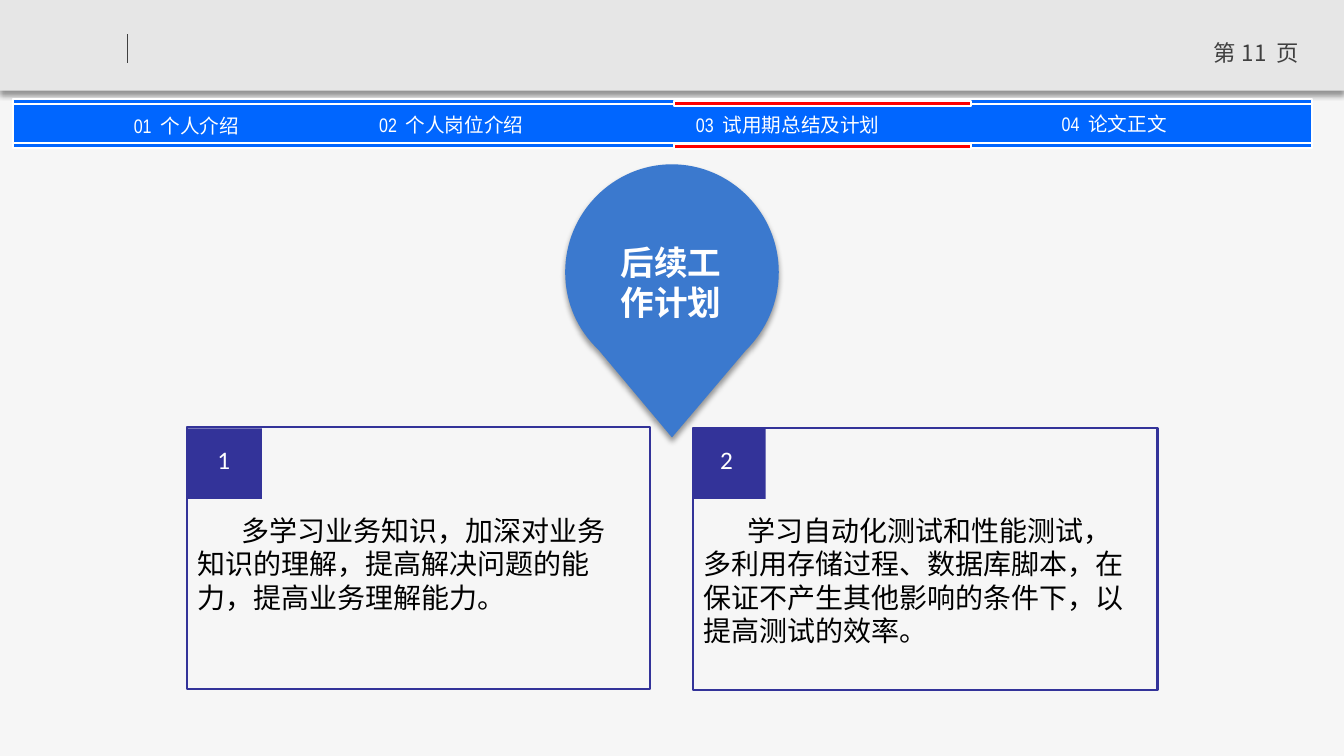
from lxml.etree import SubElement
from pptx import Presentation
from pptx.dml.color import RGBColor
from pptx.enum.shapes import MSO_CONNECTOR, MSO_SHAPE
from pptx.enum.text import MSO_ANCHOR as ANCHOR, MSO_AUTO_SIZE as AUTO, PP_ALIGN as ALIGN
from pptx.oxml.ns import qn
from pptx.util import Inches, Pt

CJK = "Noto Sans CJK SC"
WHITE, GREY, BLUE, RED, NAVY = "FFFFFF", "404040", "0066FF", "FF0000", "333399"


def rgb(value):
    return RGBColor.from_string(value)


def write(tf, paragraphs, size=16, color=WHITE, font=CJK, bold=False,
          align=ALIGN.LEFT, indent=0, gaps=()):
    for i, line in enumerate(paragraphs):
        p = tf.paragraphs[0] if i == 0 else tf.add_paragraph()
        p.alignment = align
        p.line_spacing = Pt(size * 1.2)
        p.space_before = Pt(0)
        if indent:
            p._p.get_or_add_pPr().set("indent", str(Inches(indent)))
        words = line.split(" ")
        pieces = [(words[0], 0)]
        for word, gap in zip(words[1:], gaps):
            pieces += [(" ", gap), (word, 0)]
        for piece, gap in pieces:
            r = p.add_run()
            r.text = piece
            r.font.size, r.font.bold, r.font.name = Pt(size), bold, font
            r.font.color.rgb = rgb(color)
            r_pr = r._r.get_or_add_rPr()
            SubElement(r_pr, qn("a:ea")).set("typeface", CJK)
            if gap:
                r_pr.set("spc", str(round(gap * 100)))


class Deck:
    def __init__(self):
        self.prs = Presentation()
        self.prs.slide_width, self.prs.slide_height = Inches(13.34), Inches(7.5)
        self.s = self.prs.slides.add_slide(self.prs.slide_layouts[5])
        fill = self.s.background.fill
        fill.solid()
        fill.fore_color.rgb = rgb("F6F6F6")

    def style(self, sp, fill=None, line=None, shadow=False):
        sp.shadow.inherit = False
        if fill:
            sp.fill.solid()
            sp.fill.fore_color.rgb = rgb(fill)
        else:
            sp.fill.background()
        if line:
            sp.line.color.rgb = rgb(line)
            sp.line.width = Pt(1.5)
        else:
            sp.line.fill.background()
        if shadow:
            effects = sp._element.spPr.find(qn("a:effectLst"))
            outer = SubElement(effects, qn("a:outerShdw"), blurRad=str(Pt(4)),
                               dist=str(Pt(3)), dir="5400000", algn="t", rotWithShape="0")
            black = SubElement(outer, qn("a:srgbClr"), val="000000")
            SubElement(black, qn("a:alpha"), val="40000")

    def box(self, x, y, w, h, **look):
        sp = self.s.shapes.add_shape(MSO_SHAPE.RECTANGLE, *map(Inches, (x, y, w, h)))
        self.style(sp, **look)

    def line(self, x1, y1, x2, y2, color, width):
        sp = self.s.shapes.add_connector(MSO_CONNECTOR.STRAIGHT, *map(Inches, (x1, y1, x2, y2)))
        sp.line.color.rgb = rgb(color)
        sp.line.width = Pt(width)
        SubElement(sp._element.spPr, qn("a:effectLst"))

    def frame(self, sp, insets, anchor=ANCHOR.TOP, wrap=True):
        tf = sp.text_frame
        tf.auto_size = AUTO.NONE
        tf.word_wrap = wrap
        tf.vertical_anchor = anchor
        tf.margin_left, tf.margin_top, tf.margin_right, tf.margin_bottom = map(Inches, insets)
        return tf

    def text(self, x, y, w, h, text, insets=(0.1, 0.05, 0.1, 0.05), anchor=ANCHOR.TOP, **fmt):
        sp = self.s.shapes.add_textbox(*map(Inches, (x, y, w, h)))
        write(self.frame(sp, insets, anchor), [text], **fmt)

    def title(self, x, y, w, h, lines, **fmt):
        sp = self.s.shapes.title
        sp.left, sp.top, sp.width, sp.height = map(Inches, (x, y, w, h))
        sp._element.getparent().append(sp._element)
        write(self.frame(sp, (0.1, 0.05, 0.1, 0.05), wrap=False), lines, **fmt)

    def pin(self, start, segments, **look):
        builder = self.s.shapes.build_freeform(*map(Inches, start))
        builder.add_line_segments([tuple(map(Inches, seg[-1])) for seg in segments], close=True)
        sp = builder.convert_to_shape()
        for node, seg in zip(list(sp._element.iter(qn("a:lnTo"))), segments):
            if len(seg) == 3:
                node.tag = qn("a:cubicBezTo")
                node.remove(node[0])
                for x, y in seg:
                    SubElement(node, qn("a:pt"), x=str(Inches(x) - sp.left),
                               y=str(Inches(y) - sp.top))
        self.style(sp, **look)


def main():
    deck = Deck()
    deck.box(0, 0, 13.34, 0.9, fill="E6E6E6", shadow=True)
    deck.line(1.27, 0.34, 1.27, 0.63, GREY, 0.75)
    deck.text(11.87, 0.34, 1.2, 0.4, "第 11 页", color=GREY, align=ALIGN.CENTER, gaps=(0.5, 3.5))

    for y, h in ((1.03, 0.43), (1.42, 0.05), (0.98, 0.05)):
        deck.box(0.13, y, 12.89, h, fill=BLUE, line=WHITE)
    sections = ((0.61, 1.13, "01 个人介绍"), (3.24, 1.12, "02 个人岗位介绍"),
                (9.82, 1.11, "04 论文正文"), (6.58, 1.12, "03 试用期总结及计划"))
    for x, y, label in sections:
        deck.text(x, y, 2.48, 0.24, label, insets=(0, 0, 0, 0), anchor=ANCHOR.MIDDLE,
                  size=14, font="Arial Narrow", align=ALIGN.CENTER, gaps=(3,))
    for y in (1.43, 1):
        deck.box(6.69, y, 2.95, 0.05, fill=RED, line=WHITE)

    plans = (
        (6.88, 4.25, 4.61, 0.72, 7.05, 4.44, "2",
         "学习自动化测试和性能测试，多利用存储过程、数据库脚本，在保证不产生其他影响的条件下，以提高测试的效率。"),
        (1.86, 4.24, 4.59, 0.74, 2.06, 4.36, "1",
         "多学习业务知识，加深对业务知识的理解，提高解决问题的能力，提高业务理解能力。"),
    )
    for x, y, w, tab_w, number_x, body_w, number, body in plans:
        deck.box(x, y, w, 2.6, line=NAVY)
        deck.box(x, 4.25, tab_w, 0.7, fill=NAVY)
        deck.text(number_x, 4.36, 0.35, 0.45, number, size=18, font="Calibri")
        deck.text(x, 4.58, body_w, 2.25, body, insets=(0.1, 0.51, 0.1, 0.05),
                  size=20, color="000000", indent=0.44)

    outline = (
        ((7.25, 1.63), (7.73, 2.11), (7.73, 2.7)),
        ((7.73, 3.01), (7.6, 3.28), (7.4, 3.48)),
        ((6.67, 4.34),),
        ((5.94, 3.47),),
        ((5.73, 3.27), (5.61, 3), (5.61, 2.7)),
        ((5.61, 2.11), (6.09, 1.63), (6.67, 1.63)),
    )
    deck.pin((6.67, 1.63), outline, fill="3B79CE", shadow=True)
    deck.title(6.06, 2.35, 1.21, 0.91, ["后续工", "作计划"], size=24, bold=True)
    deck.prs.save("out.pptx")


if __name__ == "__main__":
    main()
